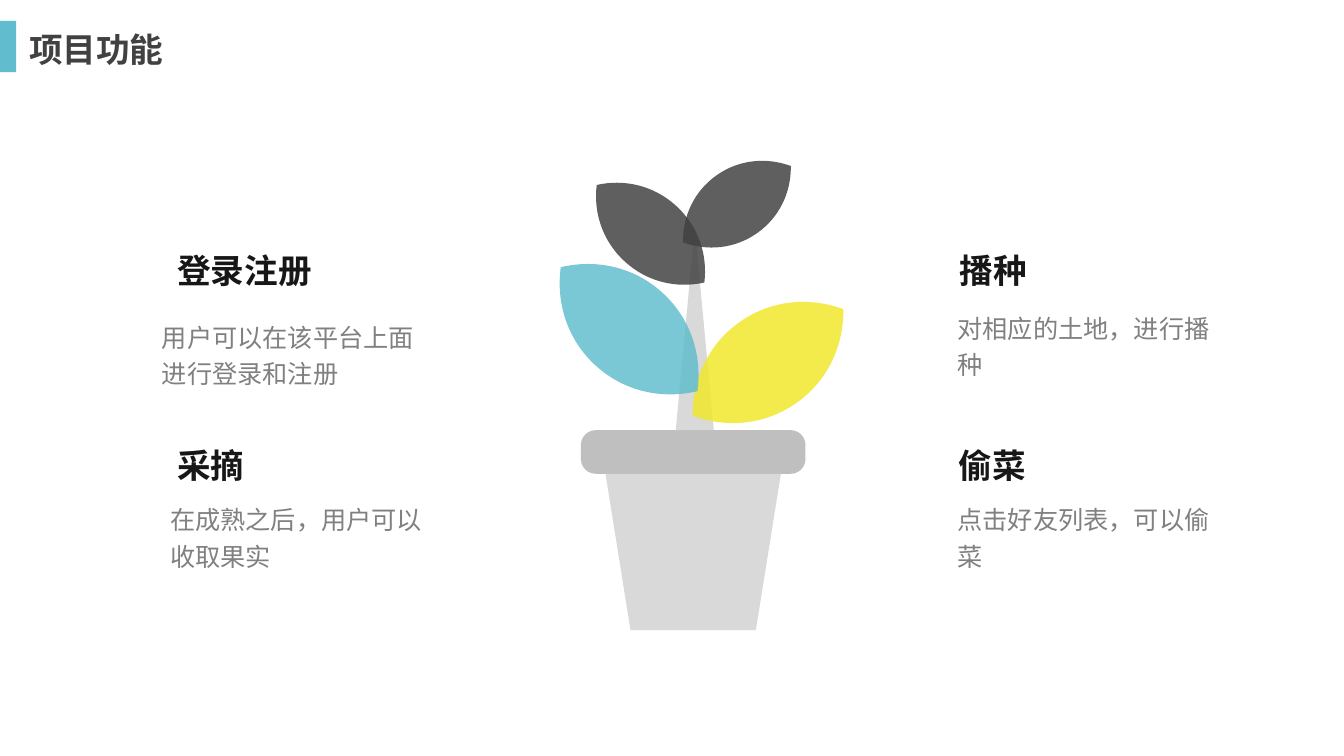
import dataclasses

import lxml.etree
import pptx
import pptx.dml.color
import pptx.enum.shapes
import pptx.enum.text
import pptx.oxml.ns
import pptx.util

Cm = pptx.util.Cm
qn = pptx.oxml.ns.qn
SHAPE = pptx.enum.shapes.MSO_SHAPE


@dataclasses.dataclass(frozen=True)
class Theme:
    font: str = "Noto Sans CJK SC"
    blue: str = "61BDCD"
    yellow: str = "F1E72A"
    dark: str = "414141"
    rim: str = "BFBFBF"
    clay: str = "D9D9D9"
    heading: str = "181717"
    body: str = "808080"
    heading_size: int = 24
    body_size: int = 18
    leaf_opacity: int = 84


theme = Theme()


def paint(shape, color):
    shape.shadow.inherit = False
    shape.fill.solid()
    shape.fill.fore_color.rgb = pptx.dml.color.RGBColor.from_string(color)
    shape.line.fill.background()


def write(box, text, size, color, bold, wrap, spacing=1.0):
    frame = box.text_frame
    frame.word_wrap = wrap
    frame.auto_size = pptx.enum.text.MSO_AUTO_SIZE.NONE
    frame.vertical_anchor = pptx.enum.text.MSO_ANCHOR.TOP
    frame.text = text
    para = frame.paragraphs[0]
    para.alignment = pptx.enum.text.PP_ALIGN.LEFT
    para.line_spacing = spacing
    para.font.name = theme.font
    para.font.size = pptx.util.Pt(size)
    para.font.bold = bold
    para.font.color.rgb = pptx.dml.color.RGBColor.from_string(color)
    defaults = para._p.pPr.find(qn("a:defRPr"))
    lxml.etree.SubElement(defaults, qn("a:ea"), typeface=theme.font)


deck = pptx.Presentation()
deck.slide_width = Cm(33.87)
deck.slide_height = Cm(19.05)
page = deck.slides.add_slide(deck.slide_layouts[5])

title = page.shapes.title
title.left, title.top, title.width, title.height = Cm(0.48), Cm(0.61), Cm(7.34), Cm(1.27)
write(title, "项目功能", theme.heading_size, theme.dark, True, True)

plant = page.shapes.add_group_shape()
rim = plant.shapes.add_shape(SHAPE.ROUNDED_RECTANGLE, Cm(14.64), Cm(10.84), Cm(5.66), Cm(1.1))
rim.adjustments[0] = 0.34
paint(rim, theme.rim)
pot = plant.shapes.add_shape(SHAPE.TRAPEZOID, Cm(15.26), Cm(11.94), Cm(4.42), Cm(3.94))
pot.adjustments[0] = 0.16
pot._element.spPr.xfrm.set("flipV", "1")
paint(pot, theme.clay)
stem = plant.shapes.add_shape(SHAPE.ISOSCELES_TRIANGLE, Cm(17.03), Cm(5.74), Cm(0.96), Cm(5.1))
paint(stem, theme.clay)

leaf_curves = [
    [(0.8, 0.11), (1, 0.29), (1, 0.5)],
    [(1, 0.71), (0.8, 0.89), (0.5, 1)],
    [(0.2, 0.89), (0, 0.71), (0, 0.5)],
    [(0, 0.29), (0.2, 0.11), (0.5, 0)],
]
leaves = [
    (theme.yellow, 18.11, 6.81, 2.49, 4.65, 54.7),
    (theme.dark, 17.68, 3.48, 1.78, 3.33, 54.7),
    (theme.blue, 14.61, 5.97, 2.49, 4.65, 312.2),
    (theme.dark, 15.44, 4.06, 1.91, 3.66, 312.2),
]
for color, left, top, width, height, angle in leaves:
    across, down = Cm(width), Cm(height)
    builder = page.shapes.build_freeform(across // 2, 0)
    corners = [curve[-1] for curve in leaf_curves]
    builder.add_line_segments([(int(x * across), int(y * down)) for x, y in corners], close=True)
    leaf = builder.convert_to_shape(Cm(left), Cm(top))
    leaf.left, leaf.top = Cm(left), Cm(top)
    for line, curve in zip(list(leaf._element.iter(qn("a:lnTo"))), leaf_curves):
        bend = lxml.etree.Element(qn("a:cubicBezTo"))
        for x, y in curve:
            lxml.etree.SubElement(bend, qn("a:pt"), x=str(int(x * across)), y=str(int(y * down)))
        line.getparent().replace(line, bend)
    leaf.rotation = angle
    paint(leaf, color)
    tint = leaf._element.spPr.find(qn("a:solidFill"))[0]
    lxml.etree.SubElement(tint, qn("a:alpha"), val=str(theme.leaf_opacity * 1000))

features = [
    ("登录注册", 4.22, 6.17, 0.86, "用户可以在该平台上面进行登录和注册", 3.83, 7.84),
    ("采摘", 4.22, 11.09, 1.37, "在成熟之后，用户可以收取果实", 4.04, 12.44),
    ("播种", 23.93, 6.17, 0.86, "对相应的土地，进行播种", 23.88, 7.62),
    ("偷菜", 23.91, 11.09, 1.37, "点击好友列表，可以偷菜", 23.88, 12.44),
]
for heading, heading_x, heading_y, heading_height, detail, detail_x, detail_y in features:
    box = page.shapes.add_textbox(Cm(detail_x), Cm(detail_y), Cm(7.06), Cm(1.37))
    write(box, detail, theme.body_size, theme.body, False, True, 1.2)
    box = page.shapes.add_textbox(Cm(heading_x), Cm(heading_y), Cm(5.36), Cm(heading_height))
    write(box, heading, theme.heading_size, theme.heading, True, False)

accent = page.shapes.add_shape(SHAPE.RECTANGLE, 0, Cm(0.53), Cm(0.41), Cm(1.29))
paint(accent, theme.blue)

deck.save("out.pptx")
